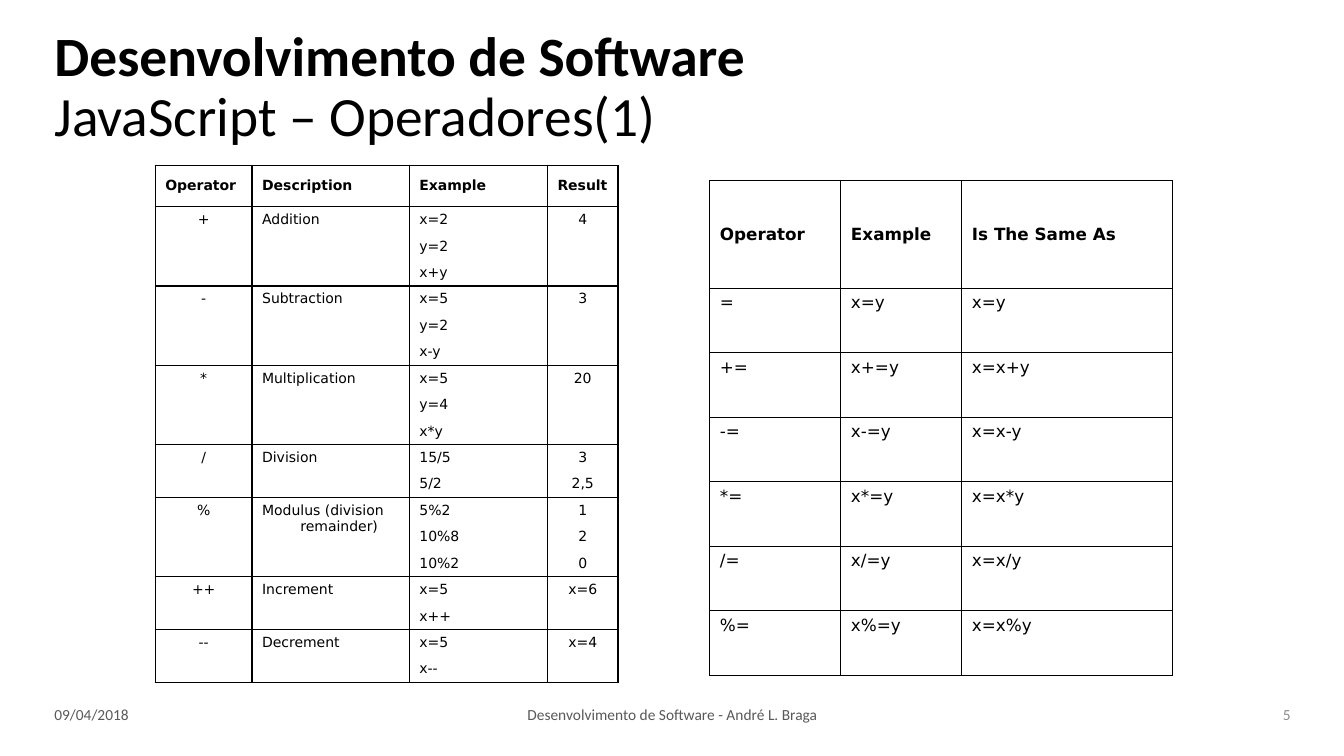
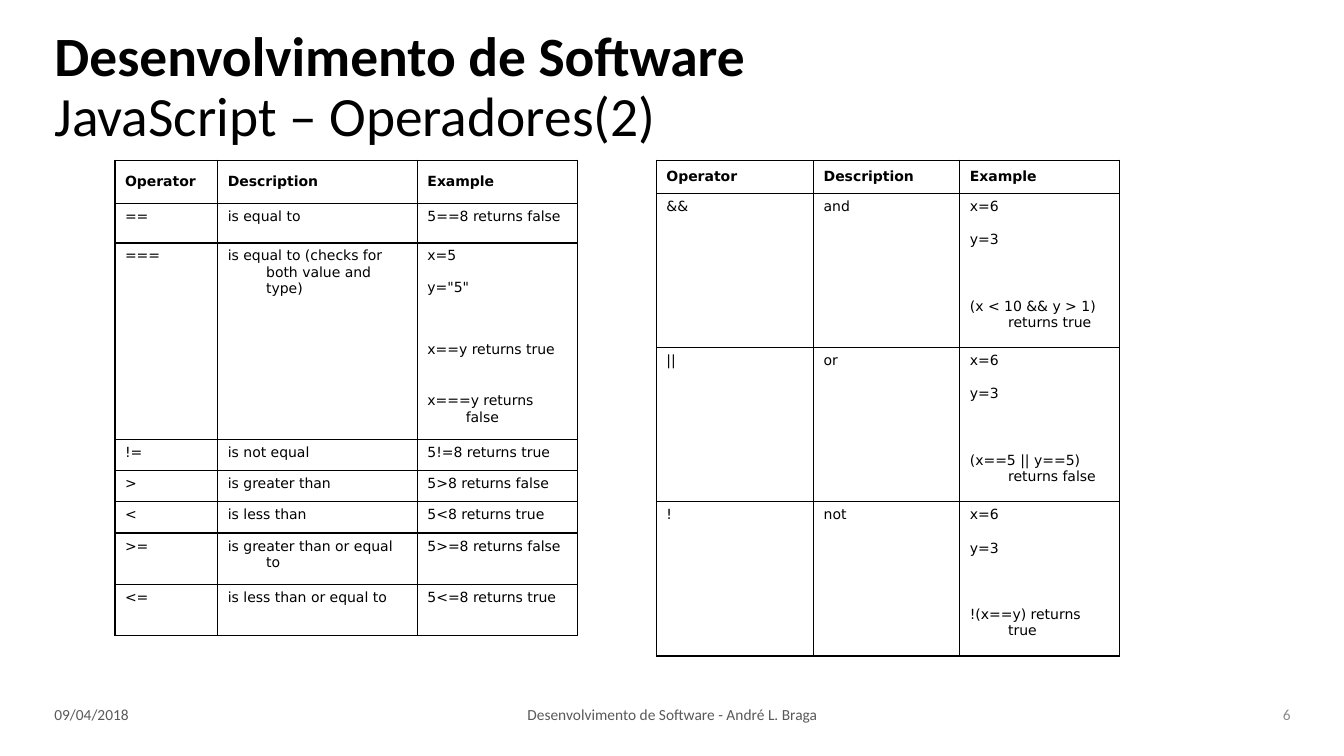
import pptx
import pptx.dml.color
import pptx.enum.text
import pptx.oxml.ns
import pptx.util
from lxml import etree

Inches, Pt = pptx.util.Inches, pptx.util.Pt
RGBColor = pptx.dml.color.RGBColor
PP_ALIGN = pptx.enum.text.PP_ALIGN
MSO_ANCHOR = pptx.enum.text.MSO_ANCHOR
qn = pptx.oxml.ns.qn

BLACK = RGBColor(0x00, 0x00, 0x00)
WHITE = RGBColor(0xFF, 0xFF, 0xFF)
DARK_GRAY = RGBColor(0x59, 0x59, 0x59)
GRAY = RGBColor(0x8C, 0x8C, 0x8C)


class Deck:
    """Holds the shared style and the current slide."""
    TEXT_FONT = "Calibri"
    TABLE_FONT = "DejaVu Sans"
    TITLE_SIZE = 39.6
    FOOTER_SIZE = 11
    HANGING = 0.38
    COURSE = "Desenvolvimento de Software"

    def __init__(self):
        self.prs = pptx.Presentation()
        self.prs.slide_width = Inches(13.33)
        self.prs.slide_height = Inches(7.5)
        self.s = None

    def style(self, r, font, size, color, bold=False):
        r.font.name, r.font.size, r.font.bold = font, Pt(size), bold
        r.font.color.rgb = color

    def add_slide(self, topic):
        self.s = self.prs.slides.add_slide(self.prs.slide_layouts[5])
        sp = self.s.shapes.title
        sp.left, sp.top = Inches(0.44), Inches(0.25)
        sp.width, sp.height = Inches(12.45), Inches(1.25)
        tf = sp.text_frame
        tf.auto_size = pptx.enum.text.MSO_AUTO_SIZE.NONE
        tf.vertical_anchor = MSO_ANCHOR.MIDDLE
        p = tf.paragraphs[0]
        p.text = f"{self.COURSE}\v{topic}"
        p.alignment, p.line_spacing = PP_ALIGN.LEFT, 0.9
        for r, bold in zip(p.runs, (True, False)):
            self.style(r, self.TEXT_FONT, self.TITLE_SIZE, BLACK, bold)
        # The line break takes the same size as the text around it
        etree.SubElement(p._p.find(qn("a:br")), qn("a:rPr"),
                         sz=str(round(self.TITLE_SIZE * 100)))

    def footer(self, number):
        parts = [
            (0.44, 3.34, "09/04/2018", PP_ALIGN.LEFT, DARK_GRAY),
            (4.56, 4.22, f"{self.COURSE} - André L. Braga", PP_ALIGN.CENTER, DARK_GRAY),
            (9.56, 3.34, str(number), PP_ALIGN.RIGHT, GRAY),
        ]
        for left, width, text, align, color in parts:
            sp = self.s.shapes.add_textbox(Inches(left), Inches(6.83),
                                           Inches(width), Inches(0.52))
            tf = sp.text_frame
            tf.word_wrap, tf.vertical_anchor = True, MSO_ANCHOR.MIDDLE
            p = tf.paragraphs[0]
            p.text, p.alignment = text, align
            self.style(p.runs[0], self.TEXT_FONT, self.FOOTER_SIZE, color)

    def borders(self, cell, sides):
        tcPr = cell._tc.get_or_add_tcPr()
        for side in "LRTB":
            ln = etree.SubElement(tcPr, qn(f"a:ln{side}"), w=str(Pt(1)))
            if side in sides:
                fill = etree.SubElement(ln, qn("a:solidFill"))
                etree.SubElement(fill, qn("a:srgbClr"), val=str(BLACK))
            else:
                etree.SubElement(ln, qn("a:noFill"))

    def cell(self, cell, text, size, sides="LRTB", bold=False, align=PP_ALIGN.LEFT):
        self.borders(cell, sides)
        cell.fill.solid()
        cell.fill.fore_color.rgb = WHITE
        cell.vertical_anchor = MSO_ANCHOR.MIDDLE if bold else MSO_ANCHOR.TOP
        p = cell.text_frame.paragraphs[0]
        p.text, p.alignment = text, align
        pPr = p._p.get_or_add_pPr()
        pPr.set("marL", str(Inches(self.HANGING)))
        pPr.set("indent", str(-Inches(self.HANGING)))
        if text:
            self.style(p.runs[0], self.TABLE_FONT, size, BLACK, bold)
        else:
            etree.SubElement(p._p, qn("a:endParaRPr"), sz=str(size * 100))

    def table(self, left, top, widths, header, header_height, groups,
              size=10, centered=()):
        """Each group is (row heights, columns); a column given as one string
        spans the group, a column given as a list has one line per row."""
        heights = [header_height] + [h for hs, _ in groups for h in hs]
        frame = self.s.shapes.add_table(
            len(heights), len(widths), Inches(left), Inches(top),
            Inches(sum(widths)), Inches(sum(heights)))
        tbl = frame.table
        tbl.first_row = tbl.horz_banding = False
        for col, width in zip(tbl.columns, widths):
            col.width = Inches(width)
        for row, height in zip(tbl.rows, heights):
            row.height = Inches(height)
        for c, text in enumerate(header):
            self.cell(tbl.cell(0, c), text, size, bold=True)
        first = 1
        for hs, columns in groups:
            last = first + len(hs) - 1
            for c, content in enumerate(columns):
                align = PP_ALIGN.CENTER if c in centered else PP_ALIGN.LEFT
                spans = isinstance(content, str)
                lines = [content] + [""] * (len(hs) - 1) if spans else content
                for r, text in enumerate(lines, first):
                    sides = "LR" + "T" * (r == first) + "B" * (r == last)
                    if spans and r == first:
                        sides = "LRTB"
                    self.cell(tbl.cell(r, c), text, size, sides, align=align)
                if spans and last > first:
                    tbl.cell(first, c).merge(tbl.cell(last, c))
            first = last + 1


def main():
    deck = Deck()

    # Arithmetic and assignment operators
    deck.add_slide("JavaScript – Operadores(1)")
    arithmetic = [
        ("+", "Addition", ["x=2", "y=2", "x+y"], "4"),
        ("-", "Subtraction", ["x=5", "y=2", "x-y"], "3"),
        ("*", "Multiplication", ["x=5", "y=4", "x*y"], "20"),
        ("/", "Division", ["15/5", "5/2"], ["3", "2,5"]),
        ("%", "Modulus (division remainder)", ["5%2", "10%8", "10%2"], ["1", "2", "0"]),
        ("++", "Increment", ["x=5", "x++"], "x=6"),
        ("--", "Decrement", ["x=5", "x--"], "x=4"),
    ]
    deck.table(1.54, 1.64, [0.96, 1.56, 1.37, 0.7],
               ["Operator", "Description", "Example", "Result"], 0.41,
               [([0.26] * len(row[2]), row) for row in arithmetic],
               centered=(0, 3))
    assignment = [("=", "x=y", "x=y")]
    assignment += [(f"{op}=", f"x{op}=y", f"x=x{op}y") for op in "+-*/%"]
    deck.table(7.04, 1.79, [1.3, 1.2, 2.09],
               ["Operator", "Example", "Is The Same As"], 1.07,
               [([0.64], row) for row in assignment], size=12)
    deck.footer(5)

    # Comparison and logical operators
    deck.add_slide("JavaScript – Operadores(2)")
    header = ["Operator", "Description", "Example"]
    comparison = [
        ([0.39], ("==", "is equal to", "5==8 returns false")),
        ([0.31, 0.31, 0.31, 0.51, 0.51],
         ("===", "is equal to (checks for both value and type)",
          ["x=5", 'y="5"', "", "x==y returns true", "x===y returns false"])),
        ([0.31], ("!=", "is not equal", "5!=8 returns true")),
        ([0.31], (">", "is greater than", "5>8 returns false")),
        ([0.31], ("<", "is less than", "5<8 returns true")),
        ([0.51], (">=", "is greater than or equal to", "5>=8 returns false")),
        ([0.51], ("<=", "is less than or equal to", "5<=8 returns true")),
    ]
    deck.table(1.14, 1.59, [1.02, 1.98, 1.59], header, 0.43, comparison)
    logical = [
        ("&&", "and", "(x < 10 && y > 1) returns true"),
        ("||", "or", "(x==5 || y==5) returns false"),
        ("!", "not", "!(x==y) returns true"),
    ]
    deck.table(6.51, 1.59, [1.56, 1.45, 1.58], header, 0.33,
               [([0.33, 0.33, 0.33, 0.54], (op, name, ["x=6", "y=3", "", test]))
                for op, name, test in logical])
    deck.footer(6)

    deck.prs.save("out.pptx")


if __name__ == "__main__":
    main()
